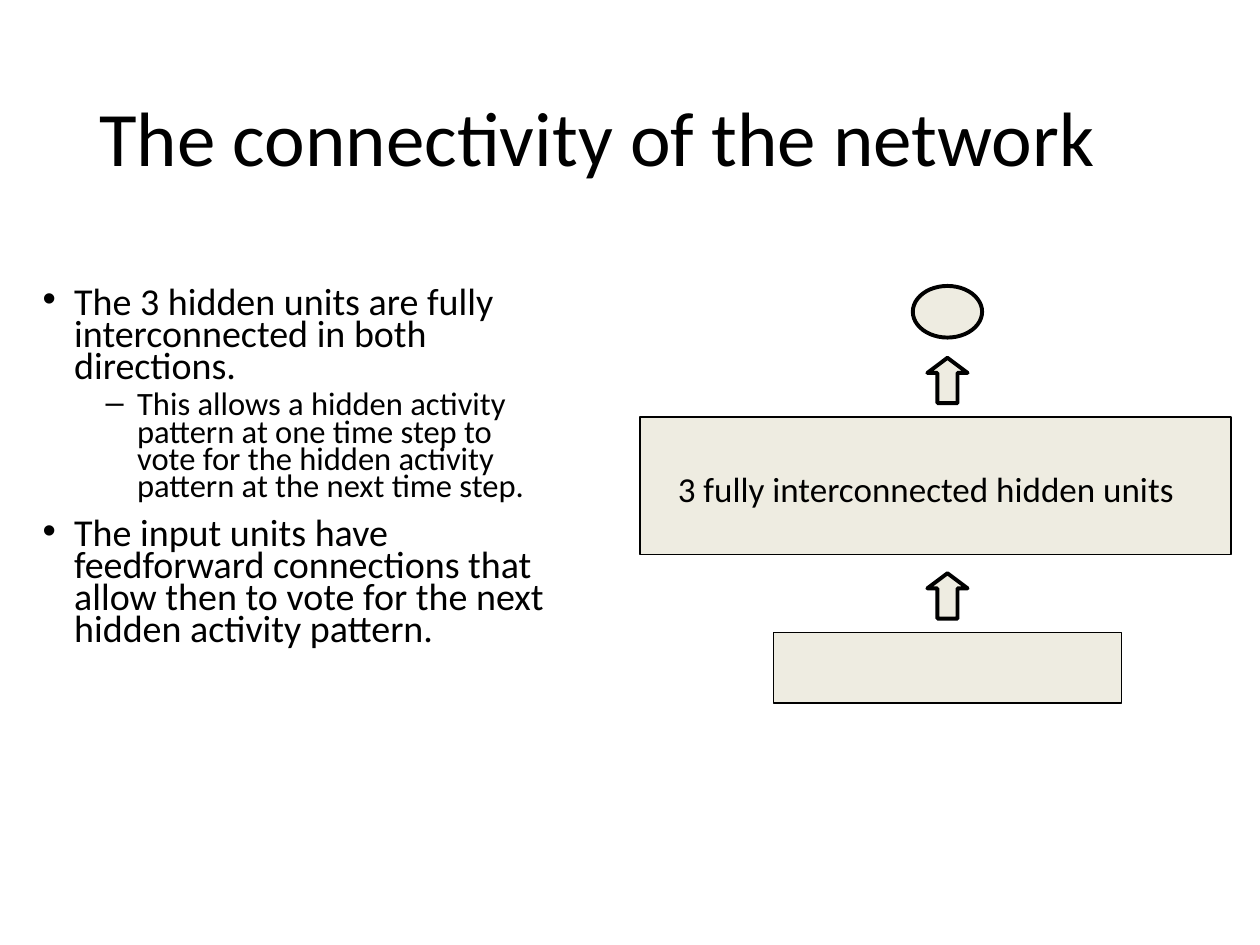
from dataclasses import dataclass

from lxml.etree import SubElement
from pptx import Presentation
from pptx.dml.color import RGBColor
from pptx.enum.shapes import MSO_SHAPE
from pptx.enum.text import MSO_ANCHOR
from pptx.oxml.ns import qn
from pptx.util import Pt

BLACK = RGBColor(0x00, 0x00, 0x00)
CREAM = RGBColor(0xEE, 0xEC, 0xE1)
FONT = "Calibri"
AXIS_X = 541.4


@dataclass
class Para:
    text: str
    size: float
    spacing: float = 1.0
    before: float = 0
    bullet: str = ""
    indent: float = 0


@dataclass
class Node:
    kind: MSO_SHAPE
    center_x: float
    top: float
    width: float
    height: float
    line: float


TITLE = [Para("The connectivity of the network", 44, 0.9)]
BODY = [
    Para("The 3 hidden units are fully interconnected in both directions.",
         21.7, 0.7, 0, "•", 18),
    Para("This allows a hidden activity pattern at one time step to vote for "
         "the hidden activity pattern at the next time step.",
         18.6, 0.7, 5, "–", 54),
    Para("The input units have feedforward connections that allow then to vote "
         "for the next hidden activity pattern.", 21.7, 0.7, 10, "•", 18),
]
HIDDEN_LABEL = [Para("3 fully interconnected hidden units", 20)]

NODES = [
    Node(MSO_SHAPE.OVAL, AXIS_X, 163.4, 39.6, 29.5, 2.25),
    Node(MSO_SHAPE.RECTANGLE, 534.6, 238.3, 337.7, 78.5, 0.75),
    Node(MSO_SHAPE.RECTANGLE, AXIS_X, 361.4, 198.7, 40.3, 0.75),
    Node(MSO_SHAPE.UP_ARROW, AXIS_X, 327.6, 23, 25.9, 2.25),
    Node(MSO_SHAPE.UP_ARROW, AXIS_X, 204.5, 23, 25.9, 2.25),
]


def add_bullet(p, char: str, indent: float) -> None:
    pPr = p._p.get_or_add_pPr()
    pPr.set("marL", str(Pt(indent)))
    pPr.set("indent", str(-Pt(18)))
    SubElement(pPr, qn("a:buFont")).set("typeface", "Arial")
    SubElement(pPr, qn("a:buChar")).set("char", char)


def add_text(s, left: float, top: float, width: float, height: float,
             paras: list[Para], anchor: MSO_ANCHOR = MSO_ANCHOR.TOP) -> None:
    sp = s.shapes.add_textbox(Pt(left), Pt(top), Pt(width), Pt(height))
    tf = sp.text_frame
    tf.word_wrap = True
    tf.vertical_anchor = anchor
    for i, para in enumerate(paras):
        p = tf.add_paragraph() if i else tf.paragraphs[0]
        if para.bullet:
            add_bullet(p, para.bullet, para.indent)
        p.line_spacing = para.spacing
        p.space_before = Pt(para.before)
        r = p.add_run()
        r.text = para.text
        r.font.color.rgb = BLACK
        for name, value in {"name": FONT, "size": Pt(para.size)}.items():
            setattr(r.font, name, value)


def add_node(s, node: Node) -> None:
    sp = s.shapes.add_shape(node.kind, Pt(node.center_x - node.width / 2),
                            Pt(node.top), Pt(node.width), Pt(node.height))
    sp.shadow.inherit = False
    sp.fill.solid()
    sp.fill.fore_color.rgb = CREAM
    sp.line.color.rgb = BLACK
    sp.line.width = Pt(node.line)
    if node.kind == MSO_SHAPE.UP_ARROW:
        sp.adjustments[0] = 0.5
        sp.adjustments[1] = 0.375


def main() -> None:
    prs = Presentation()
    for name, value in {"slide_width": Pt(720), "slide_height": Pt(540)}.items():
        setattr(prs, name, value)
    s = prs.slides.add_slide(prs.slide_layouts[6])
    add_text(s, 49.7, 28.8, 620.6, 104.4, TITLE, MSO_ANCHOR.MIDDLE)
    add_text(s, 17.3, 162, 301.7, 267.1, BODY)
    for node in NODES:
        add_node(s, node)
    add_text(s, 380.2, 263.5, 317.5, 31.7, HIDDEN_LABEL)
    prs.save("out.pptx")


if __name__ == "__main__":
    main()
